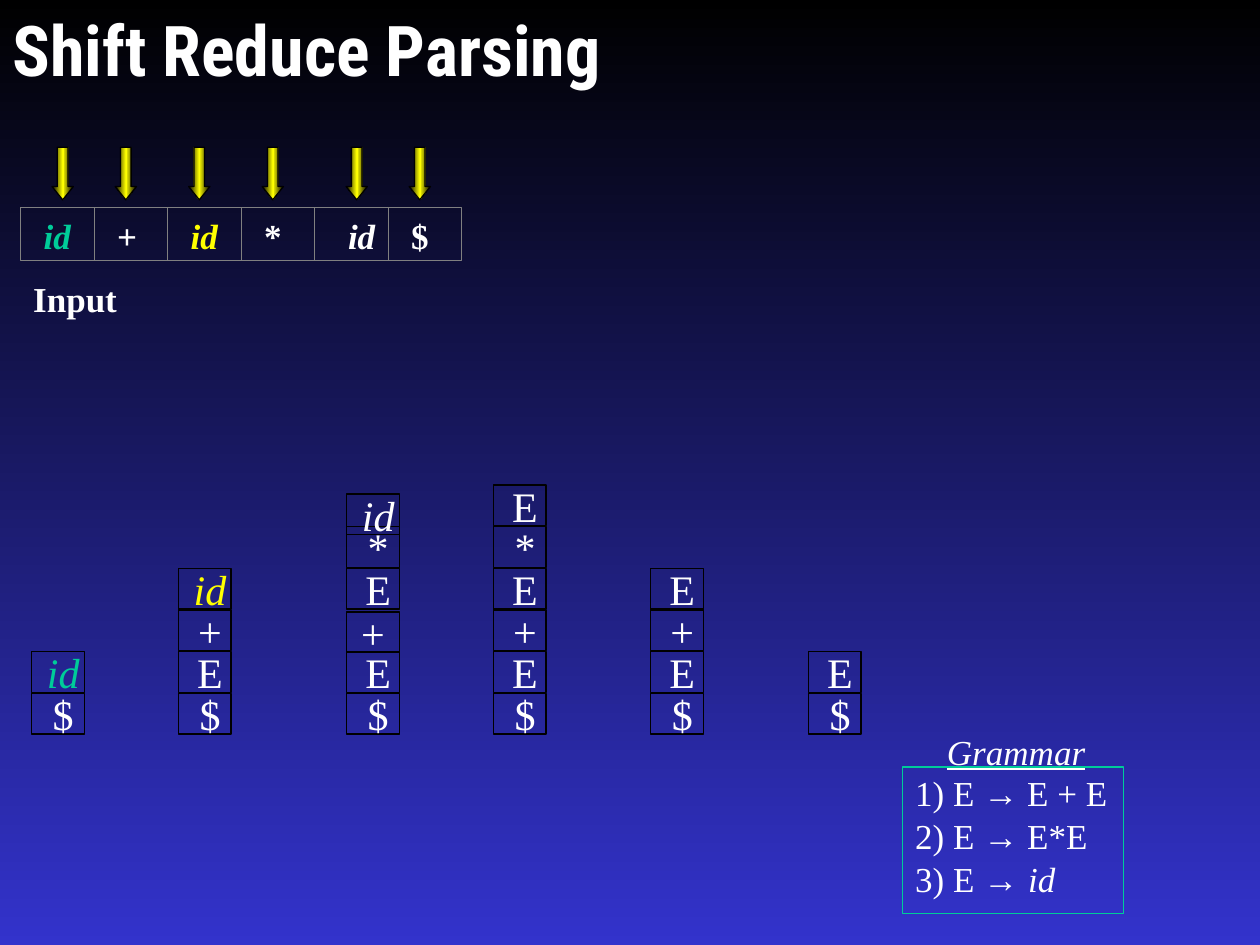
from dataclasses import dataclass

from lxml import etree
from pptx import Presentation
from pptx.dml.color import RGBColor
from pptx.enum.shapes import MSO_CONNECTOR, MSO_SHAPE
from pptx.enum.text import MSO_ANCHOR, MSO_AUTO_SIZE, PP_ALIGN
from pptx.oxml.ns import qn
from pptx.util import Cm, Pt

RECT, ARROW = MSO_SHAPE.RECTANGLE, MSO_SHAPE.DOWN_ARROW
LINE = MSO_CONNECTOR.STRAIGHT
CENTER, MIDDLE = PP_ALIGN.CENTER, MSO_ANCHOR.MIDDLE
GROW = MSO_AUTO_SIZE.SHAPE_TO_FIT_TEXT


@dataclass(frozen=True)
class Theme:
    black: str = "000000"
    blue: str = "3333CC"
    white: str = "FFFFFF"
    green: str = "00CC99"
    yellow: str = "FFFF00"
    gray: str = "808080"
    serif: str = "Times New Roman"
    sans: str = "Arial"
    head: str = "Roboto Condensed"
    title: int = 40
    body: int = 20
    stack: int = 24
    stroke: float = 0.75


T = Theme()


def color(code):
    return RGBColor.from_string(code)


def shade(fill, root, stops, angle):
    """Fill with (percent, colour) stops; the angle runs clockwise."""
    fill.gradient()
    fill.gradient_angle = (360 - angle) % 360
    ramp = root.find(".//" + qn("a:gsLst"))
    for old in list(ramp):
        ramp.remove(old)
    for place, code in stops:
        stop = etree.SubElement(ramp, qn("a:gs"), pos=str(place * 1000))
        etree.SubElement(stop, qn("a:srgbClr"), val=code)


def write(para, runs, **base):
    """Add (text, changes) runs that share the base format."""
    for text, extra in runs:
        look = {"name": T.serif, "size": T.body, "color": T.white} | base | extra
        run = para.add_run()
        run.text = text
        run.font.color.rgb = color(look.pop("color"))
        run.font.size = Pt(look.pop("size"))
        for key, value in look.items():
            setattr(run.font, key, value)


def label(shapes, box, lines, before=12.5, spacing=None, **base):
    frame = shapes.add_textbox(*map(Cm, box)).text_frame
    frame.word_wrap = True
    frame.auto_size = GROW
    for i, runs in enumerate(lines):
        para = frame.add_paragraph() if i else frame.paragraphs[0]
        para.space_before = Pt(before)
        para.line_spacing = spacing
        write(para, runs, **base)


def block(shapes, kind, box, line):
    shape = shapes.add_shape(kind, *map(Cm, box))
    shape.shadow.inherit = False
    shape.fill.background()
    shape.line.color.rgb = color(line)
    shape.line.width = Pt(T.stroke)
    return shape


def rule(shapes, x, top, bottom):
    line = shapes.add_connector(LINE, Cm(x), Cm(top), Cm(x), Cm(bottom))
    line.line.color.rgb = color(T.gray)
    line.line.width = Pt(T.stroke)
    etree.SubElement(line.element.spPr, qn("a:effectLst"))


def tape(shapes, left, top, width, height, cells):
    """Input row; each cell is (text, format, text shift, arrow shift)."""
    group = shapes.add_group_shape().shapes
    block(group, RECT, (left, top, width, height), T.gray)
    step = width / len(cells)
    for i, (text, look, nudge, push) in enumerate(cells):
        edge = left + i * step
        if i:
            rule(group, edge, top, top + height)
        x = edge + 0.21 + nudge
        label(group, (x, top, 1.27, 1.12), [[(text, look)]], bold=True)
        arrow = block(shapes, ARROW, (x + 0.21 + push, top - 1.22, 0.43, 1.06), T.black)
        arrow.adjustments[1] = 0.625
        shade(arrow.fill, arrow.element,
              [(0, T.black), (50, T.yellow), (100, T.black)], 180)
    label(group, (left, top + 1.27, 2.74, 1.12), [[("Input", {})]], bold=True)


def stack(shapes, left, base, items):
    """Pile (text, format, drop) cells upward from the base cell's top."""
    group = shapes.add_group_shape().shapes
    for i, (text, look, drop) in enumerate(items):
        cell = block(group, RECT, (left, base - i * 0.84 + drop, 1.06, 0.82), T.black)
        frame = cell.text_frame
        frame.word_wrap = False
        frame.vertical_anchor = MIDDLE
        para = frame.paragraphs[0]
        para.alignment = CENTER
        write(para, [(text, look)], size=T.stack)


def grammar(shapes, left, top, width, height):
    arrow = ("→", {"name": T.sans})
    rules = [
        [("1) E ", {}), arrow, (" E + E", {})],
        [("2) E ", {}), arrow, (" E*E", {})],
        [("3) E ", {}), ("→ ", {"name": T.sans}), ("id", {"italic": True})],
    ]
    label(shapes, (left, top + 0.33, width, 2.41), rules, spacing=0.5)
    block(shapes, RECT, (left, top, width, height), T.green)
    label(shapes, (left + 0.64, top - 0.86, 3.6, 1.12), [[("Grammar", {})]],
          italic=True, underline=True)


def main():
    deck = Presentation()
    deck.slide_width, deck.slide_height = Cm(25.4), Cm(19.05)
    slide = deck.slides.add_slide(deck.slide_layouts[6])
    shade(slide.background.fill, slide.element, [(0, T.black), (100, T.blue)], 90)
    shapes = slide.shapes

    first = {"italic": True, "color": T.green}
    second = {"italic": True, "color": T.yellow}
    third = {"italic": True}
    tape(shapes, 0.42, 4.19, 8.89, 1.06, [
        ("id", first, 0, 0.21), ("+", {}, 0, 0), ("id", second, 0, 0),
        ("*", {}, 0, 0), ("id", third, 0.21, 0), ("$", {}, 0, 0),
    ])

    end, term, plus, times = [(" " + mark, {}, 0) for mark in "$E+*"]
    stacks = [
        (0.64, [end, (" id", first, 0)]),
        (3.6, [end, term, plus, (" id", second, 0)]),
        (6.99, [end, term, ("+", {}, 0.04), term, times, (" id", third, 0.18)]),
        (9.95, [end, term, plus, term, times, term]),
        (13.12, [end, term, plus, term]),
        (16.3, [end, term]),
    ]
    for left, items in stacks:
        stack(shapes, left, 13.98, items)

    grammar(shapes, 18.2, 15.46, 4.45, 2.95)
    label(shapes, (0, 0, 25.4, 1.96), [[("Shift Reduce Parsing", {})]],
          before=25, name=T.head, size=T.title, bold=True)
    deck.save("out.pptx")


if __name__ == "__main__":
    main()
